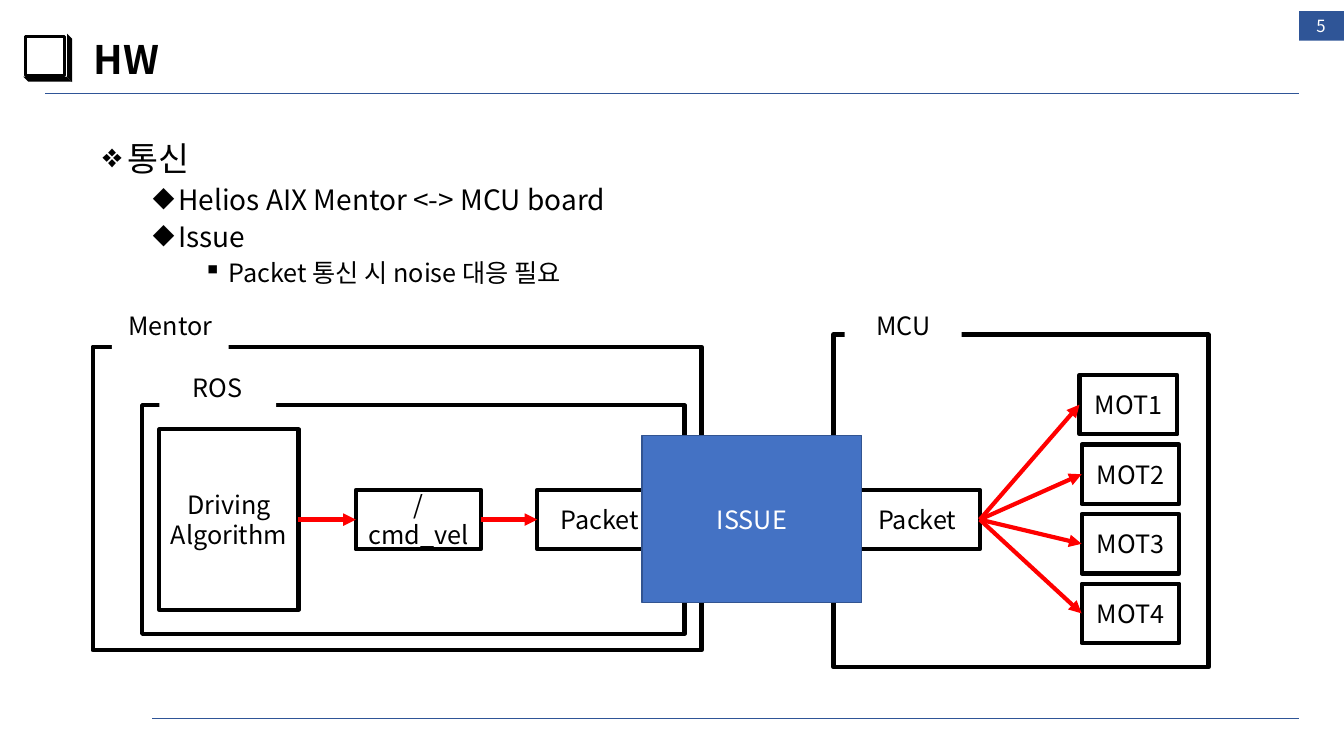
from lxml.etree import SubElement
from pptx import Presentation
from pptx.dml.color import RGBColor
from pptx.enum.shapes import MSO_CONNECTOR, MSO_SHAPE
from pptx.enum.text import MSO_ANCHOR, PP_ALIGN
from pptx.oxml.ns import qn
from pptx.util import Pt

FONT = "Noto Sans CJK KR"
COLORS = {
    "black": "000000",
    "white": "FFFFFF",
    "navy": "2F5597",
    "issue": "4472C4",
    "issue_edge": "325491",
    "signal": "FF0000",
}
BULLETS = [("❖", 18, 24), ("◆", 54, 20), ("▪", 90, 18)]
TOPICS = [
    (0, "통신"),
    (1, "Helios AIX Mentor <-> MCU board"),
    (1, "Issue"),
    (2, "Packet 통신 시 noise 대응 필요"),
]


def rgb(name):
    return RGBColor.from_string(COLORS[name])


def style_text(paragraph, size, color="black", bold=False):
    for run in paragraph.runs:
        run.font.size = Pt(size)
        run.font.bold = bold
        run.font.color.rgb = rgb(color)
        run.font.name = FONT
        SubElement(run.font._element, qn("a:ea"), typeface=FONT)


def paint(shape, fill, edge, weight):
    shape.shadow.inherit = False
    if fill:
        shape.fill.solid()
        shape.fill.fore_color.rgb = rgb(fill)
    else:
        shape.fill.background()
    if edge:
        shape.line.color.rgb = rgb(edge)
        shape.line.width = Pt(weight)
    else:
        shape.line.fill.background()


def add_box(slide, place, label="", fill="white", edge="black", weight=3, color="black"):
    box = slide.shapes.add_shape(MSO_SHAPE.RECTANGLE, *map(Pt, place))
    paint(box, fill, edge, weight)
    if label:
        frame = box.text_frame
        frame.word_wrap = True
        frame.vertical_anchor = MSO_ANCHOR.MIDDLE
        frame.text = label
        frame.paragraphs[0].alignment = PP_ALIGN.CENTER
        style_text(frame.paragraphs[0], 18, color)
    return box


def add_shade(slide, corners):
    points = [(Pt(x), Pt(y)) for x, y in corners]
    builder = slide.shapes.build_freeform(*points[0])
    builder.add_line_segments(points[1:], close=True)
    paint(builder.convert_to_shape(), "black", None, 0)


def add_line(slide, start, end, color, weight):
    line = slide.shapes.add_connector(
        MSO_CONNECTOR.STRAIGHT, *map(Pt, (*start, *end))
    )
    line.line.color.rgb = rgb(color)
    line.line.width = Pt(weight)
    SubElement(line._element.spPr, qn("a:effectLst"))
    return line


def add_signal(slide, sender, receiver):
    signal = add_line(slide, (0, 0), (0, 0), "signal", 3)
    signal.begin_connect(sender, 3)
    signal.end_connect(receiver, 1)
    SubElement(signal.line._get_or_add_ln(), qn("a:tailEnd"), type="triangle")


def add_text(slide, place, text, size, color="black", bold=False, align=PP_ALIGN.LEFT):
    frame = slide.shapes.add_textbox(*map(Pt, place)).text_frame
    frame.word_wrap = True
    frame.vertical_anchor = MSO_ANCHOR.MIDDLE
    frame.text = text
    frame.paragraphs[0].alignment = align
    style_text(frame.paragraphs[0], size, color, bold)


def add_topics(slide, place):
    frame = slide.shapes.add_textbox(*map(Pt, place)).text_frame
    frame.word_wrap = True
    for index, (level, text) in enumerate(TOPICS):
        paragraph = frame.paragraphs[0] if index == 0 else frame.add_paragraph()
        paragraph.text = text
        paragraph.level = level
        mark, indent, size = BULLETS[level]
        properties = paragraph._p.get_or_add_pPr()
        properties.set("marL", str(Pt(indent)))
        properties.set("indent", str(Pt(-18)))
        SubElement(properties, qn("a:buChar"), char=mark)
        paragraph.line_spacing = 0.9
        if index:
            paragraph.space_before = Pt(5)
        style_text(paragraph, size)


def add_header(slide):
    add_box(slide, (18, 25.9, 28.1, 28.1), fill=None, weight=2.25)
    add_shade(slide, [(16.6, 54.7), (47.5, 54.7), (51.1, 58.3), (20.2, 58.3)])
    add_shade(slide, [(47.9, 24.1), (51.5, 27.7), (51.5, 58.7), (47.9, 55.1)])
    add_line(slide, (32.4, 66.5), (928, 66.5), "navy", 0.5)
    add_line(slide, (108.7, 513), (928, 513), "navy", 0.5)
    add_box(slide, (928, 8, 32, 21), fill="navy", edge=None)
    add_text(slide, (59.8, 20.9, 828, 42.5), "HW", 28, bold=True)
    add_text(slide, (927.4, 0, 32.4, 37.4), "5", 12, "white", align=PP_ALIGN.CENTER)


def add_diagram(slide):
    modules = [
        ("Mentor", (66.2, 247.7, 434.9, 216.7), (79.9, 211)),
        ("ROS", (101.5, 289.4, 387.4, 163.4), (113.8, 255.6)),
        ("MCU", (595.4, 239, 267.8, 237.6), (603.4, 211)),
    ]
    for name, border, corner in modules:
        add_box(slide, border, fill=None)
        add_box(slide, (*corner, 83.5, 42.5), name, edge=None)

    driving = add_box(slide, (113.8, 306.7, 99.4, 128.9), "Driving Algorithm")
    command, sent, received = [
        add_box(slide, (left, 349.9, 89.3, 42.5), label)
        for left, label in [(254.2, "/cmd_vel"), (383.8, "Packet"), (610.6, "Packet")]
    ]
    add_signal(slide, driving, command)
    add_signal(slide, command, sent)

    for row, left in enumerate([771.1, 772.6, 772.6, 772.6]):
        place = (left, 267.8 + 49.7 * row, 69.8, 42.5)
        motor = add_box(slide, place, f"MOT{row + 1}")
        add_signal(slide, received, motor)

    add_box(slide, (458.6, 311, 157, 119.5), "ISSUE", "issue", "issue_edge", 1, "white")


def main():
    deck = Presentation()
    deck.slide_width, deck.slide_height = Pt(960), Pt(540)
    slide = deck.slides.add_slide(deck.slide_layouts[6])
    add_header(slide)
    add_topics(slide, (66.2, 98.6, 828, 338.4))
    add_diagram(slide)
    deck.save("out.pptx")


if __name__ == "__main__":
    main()
